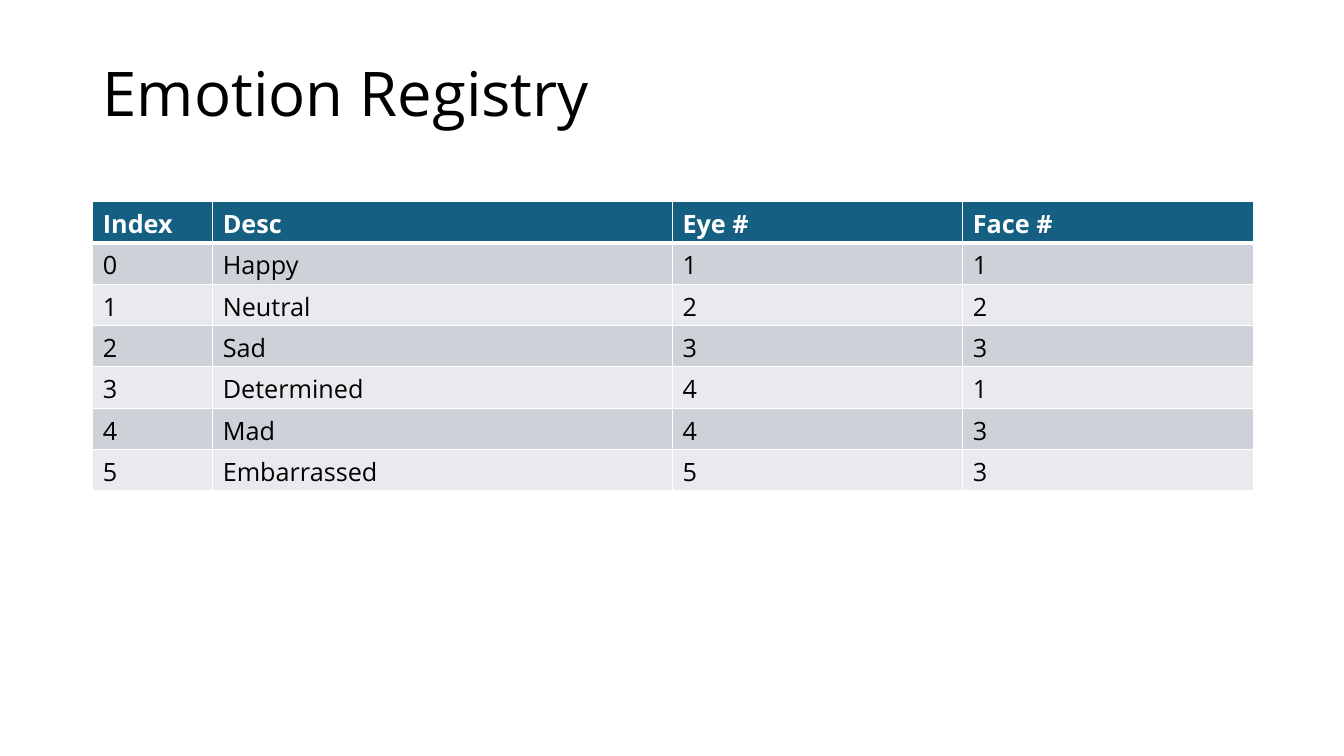
from lxml.etree import SubElement
from pptx import Presentation
from pptx.dml.color import RGBColor
from pptx.enum.text import MSO_ANCHOR
from pptx.oxml.ns import qn
from pptx.util import Inches, Pt

FONT = "Open Sans"
BLACK = RGBColor(0x00, 0x00, 0x00)
WHITE = RGBColor(0xFF, 0xFF, 0xFF)
HEADER = RGBColor(0x15, 0x60, 0x82)
BANDS = [RGBColor(0xE8, 0xEA, 0xED), RGBColor(0xCC, 0xD2, 0xD8)]

COL_WIDTHS = [1.19, 4.56, 2.88, 2.88]
ROW_HEIGHT = 0.41
ROWS = [
    ("Index", "Desc", "Eye #", "Face #"),
    ("0", "Happy", "1", "1"),
    ("1", "Neutral", "2", "2"),
    ("2", "Sad", "3", "3"),
    ("3", "Determined", "4", "1"),
    ("4", "Mad", "4", "3"),
    ("5", "Embarrassed", "5", "3"),
]


def style_text(p, size, color, bold=False):
    p.font.name = FONT
    p.font.size = Pt(size)
    p.font.color.rgb = color
    p.font.bold = bold


def add_border(cell, side, width):
    ln = SubElement(cell._tc.get_or_add_tcPr(), qn(f"a:{side}"), w=str(Pt(width)))
    fill = SubElement(ln, qn("a:solidFill"))
    SubElement(fill, qn("a:srgbClr"), val=str(WHITE))


prs = Presentation()
prs.slide_width = Inches(13.33)
prs.slide_height = Inches(7.5)
s = prs.slides.add_slide(prs.slide_layouts[6])

title = s.shapes.add_textbox(Inches(0.92), Inches(0.23), Inches(11.5), Inches(1.45))
tf = title.text_frame
tf.word_wrap = True
tf.vertical_anchor = MSO_ANCHOR.MIDDLE
p = tf.paragraphs[0]
p.text = "Emotion Registry"
p.line_spacing = 0.9
style_text(p, 44, BLACK)

table = s.shapes.add_table(
    len(ROWS), len(COL_WIDTHS), Inches(0.92), Inches(2),
    Inches(sum(COL_WIDTHS)), Inches(ROW_HEIGHT * len(ROWS)),
).table
for column, width in zip(table.columns, COL_WIDTHS):
    column.width = Inches(width)

for i, values in enumerate(ROWS):
    is_header = i == 0
    table.rows[i].height = Inches(ROW_HEIGHT)
    for j, value in enumerate(values):
        cell = table.cell(i, j)
        add_border(cell, "lnL", 1)
        add_border(cell, "lnR", 1)
        add_border(cell, "lnT", 3 if i == 1 else 1)
        add_border(cell, "lnB", 3 if is_header else 1)
        cell.fill.solid()
        cell.fill.fore_color.rgb = HEADER if is_header else BANDS[i % 2]
        p = cell.text_frame.paragraphs[0]
        p.text = value
        style_text(p, 18, WHITE if is_header else BLACK, is_header)

prs.save("out.pptx")
